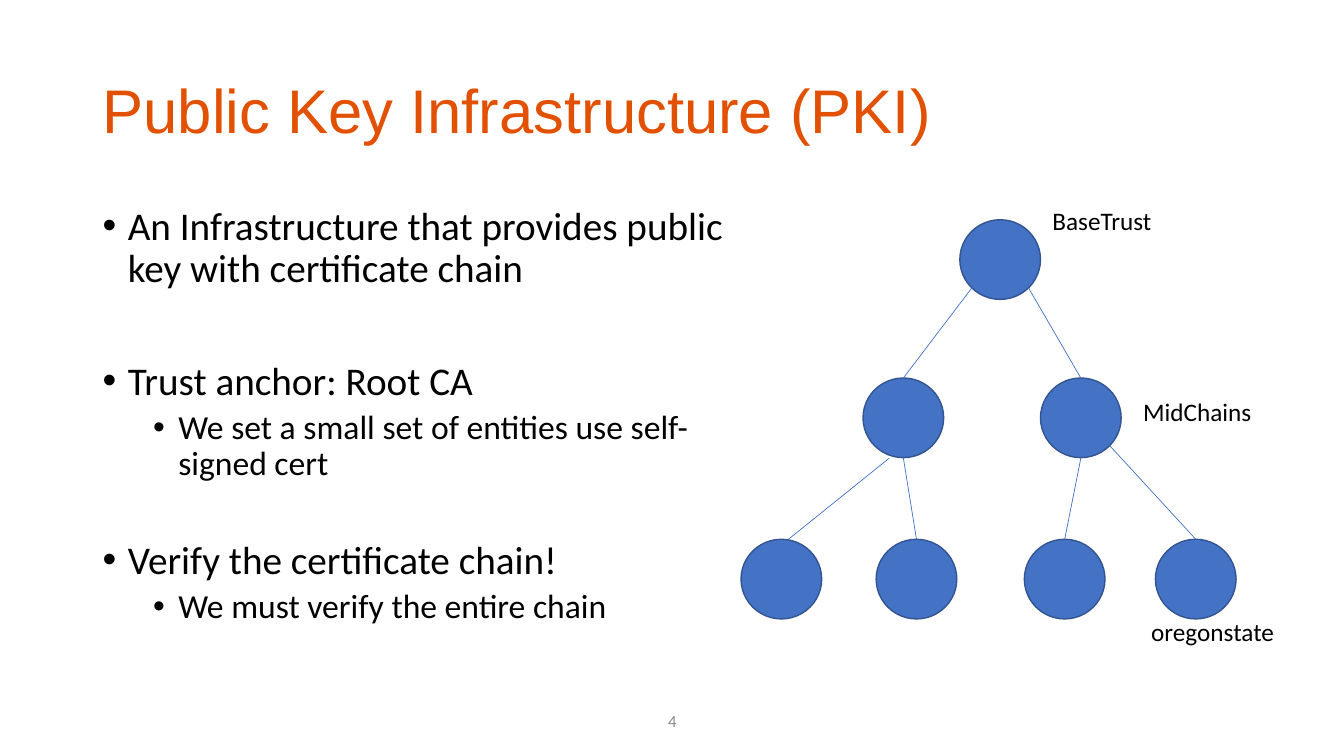
import dataclasses

import lxml.etree
import pptx
import pptx.dml.color
import pptx.enum.shapes
import pptx.enum.text
import pptx.oxml.ns
import pptx.util

Inches = pptx.util.Inches
Pt = pptx.util.Pt
ALIGN = pptx.enum.text.PP_ALIGN
ANCHOR = pptx.enum.text.MSO_ANCHOR


@dataclasses.dataclass(frozen=True)
class Theme:
    head: str = "Arial"
    body: str = "Calibri"
    orange: str = "E15101"
    black: str = "000000"
    gray: str = "8C8C8C"
    blue: str = "4472C4"
    navy: str = "325491"
    title: int = 44
    levels: tuple = (28, 24)
    label: int = 18
    foot: int = 12


THEME = Theme()

# Level, space before in points, text
POINTS = [
    (0, 0, "An Infrastructure that provides public key with certificate chain"),
    (0, 50, "Trust anchor: Root CA"),
    (1, 5, "We set a small set of entities use self-signed cert"),
    (0, 41, "Verify the certificate chain!"),
    (1, 5, "We must verify the entire chain"),
]

# Node size, and left and top of each node within the tree
WIDE, HIGH = 0.8, 0.79
NODES = {
    "root": (2.17, 0.19),
    "left": (1.21, 1.76),
    "right": (2.97, 1.76),
    "leaf1": (0, 3.36),
    "leaf2": (1.34, 3.36),
    "leaf3": (2.81, 3.36),
    "leaf4": (4.11, 3.36),
}

# Child, shift from its top, parent, end point from the parent's centre
EDGES = [
    ("leaf1", 0.07, "left", (-0.14, 0.4)),
    ("leaf2", 0, "left", (0, 0.4)),
    ("leaf4", 0, "right", (0.29, 0.28)),
    ("leaf3", 0, "right", (0, 0.4)),
    ("right", 0, "root", (0.28, 0.28)),
    ("left", 0, "root", (-0.28, 0.28)),
]

# Text, left, top and width within the tree
LABELS = [
    ("oregonstate", 3.97, 4.08, 1.43),
    ("MidChains", 3.89, 1.89, 1.34),
    ("BaseTrust", 2.99, 0, 1.24),
]


def color(code):
    return pptx.dml.color.RGBColor.from_string(code)


def style(para, size, tint, face=THEME.body):
    for run in para.runs:
        run.font.size = Pt(size)
        run.font.name = face
        run.font.color.rgb = color(tint)


def add_text(slide, box, text, size, tint, face=THEME.body, wrap=True):
    frame = slide.shapes.add_textbox(*map(Inches, box)).text_frame
    frame.word_wrap = wrap
    frame.text = text
    style(frame.paragraphs[0], size, tint, face)
    return frame


def add_title(slide, box):
    frame = add_text(slide, box, "Public Key Infrastructure (PKI)",
                     THEME.title, THEME.orange, THEME.head)
    frame.vertical_anchor = ANCHOR.MIDDLE
    frame.paragraphs[0].line_spacing = 0.9


def add_bullet(para, level):
    props = para._p.get_or_add_pPr()
    props.set("marL", str(Inches(0.25 + 0.5 * level)))
    props.set("indent", str(Inches(-0.25)))
    font = lxml.etree.SubElement(props, pptx.oxml.ns.qn("a:buFont"))
    font.set("typeface", "Arial")
    mark = lxml.etree.SubElement(props, pptx.oxml.ns.qn("a:buChar"))
    mark.set("char", "•")


def add_points(slide, box):
    frame = slide.shapes.add_textbox(*map(Inches, box)).text_frame
    frame.word_wrap = True
    for index, (level, gap, text) in enumerate(POINTS):
        para = frame.add_paragraph() if index else frame.paragraphs[0]
        para.text = text
        para.level = level
        add_bullet(para, level)
        para.line_spacing = 0.9
        para.space_before = Pt(gap)
        style(para, THEME.levels[level], THEME.black)


def add_node(slide, x, y):
    node = slide.shapes.add_shape(
        pptx.enum.shapes.MSO_SHAPE.OVAL,
        Inches(x), Inches(y), Inches(WIDE), Inches(HIGH))
    node.shadow.inherit = False
    node.fill.solid()
    node.fill.fore_color.rgb = color(THEME.blue)
    node.line.color.rgb = color(THEME.navy)
    node.line.width = Pt(1)


def add_edge(slide, start, end):
    edge = slide.shapes.add_connector(
        pptx.enum.shapes.MSO_CONNECTOR.STRAIGHT, *map(Inches, start + end))
    edge.line.color.rgb = color(THEME.blue)
    edge.line.width = Pt(0.5)
    lxml.etree.SubElement(edge._element.spPr, pptx.oxml.ns.qn("a:effectLst"))


def add_tree(slide, left, top):
    spots = {name: (left + x, top + y) for name, (x, y) in NODES.items()}
    for x, y in spots.values():
        add_node(slide, x, y)
    for child, shift, parent, (dx, dy) in EDGES:
        x, y = spots[child]
        px, py = spots[parent]
        add_edge(slide, (x + WIDE / 2 + shift, y),
                 (px + WIDE / 2 + dx, py + HIGH / 2 + dy))
    for text, x, y, width in LABELS:
        add_text(slide, (left + x, top + y, width, 0.4), text,
                 THEME.label, THEME.black, wrap=False)


def add_foot(slide, box):
    frame = add_text(slide, box, "4", THEME.foot, THEME.gray)
    frame.vertical_anchor = ANCHOR.MIDDLE
    frame.paragraphs[0].alignment = ALIGN.CENTER


def main():
    deck = pptx.Presentation()
    deck.slide_width = Inches(13.33)
    deck.slide_height = Inches(7.5)
    slide = deck.slides.add_slide(deck.slide_layouts[6])
    add_title(slide, (0.92, 0.4, 11.5, 1.45))
    add_points(slide, (0.92, 2, 6.83, 4.76))
    add_foot(slide, (5.17, 6.95, 3, 0.4))
    add_tree(slide, 7.35, 1.99)
    deck.save("out.pptx")


if __name__ == "__main__":
    main()
